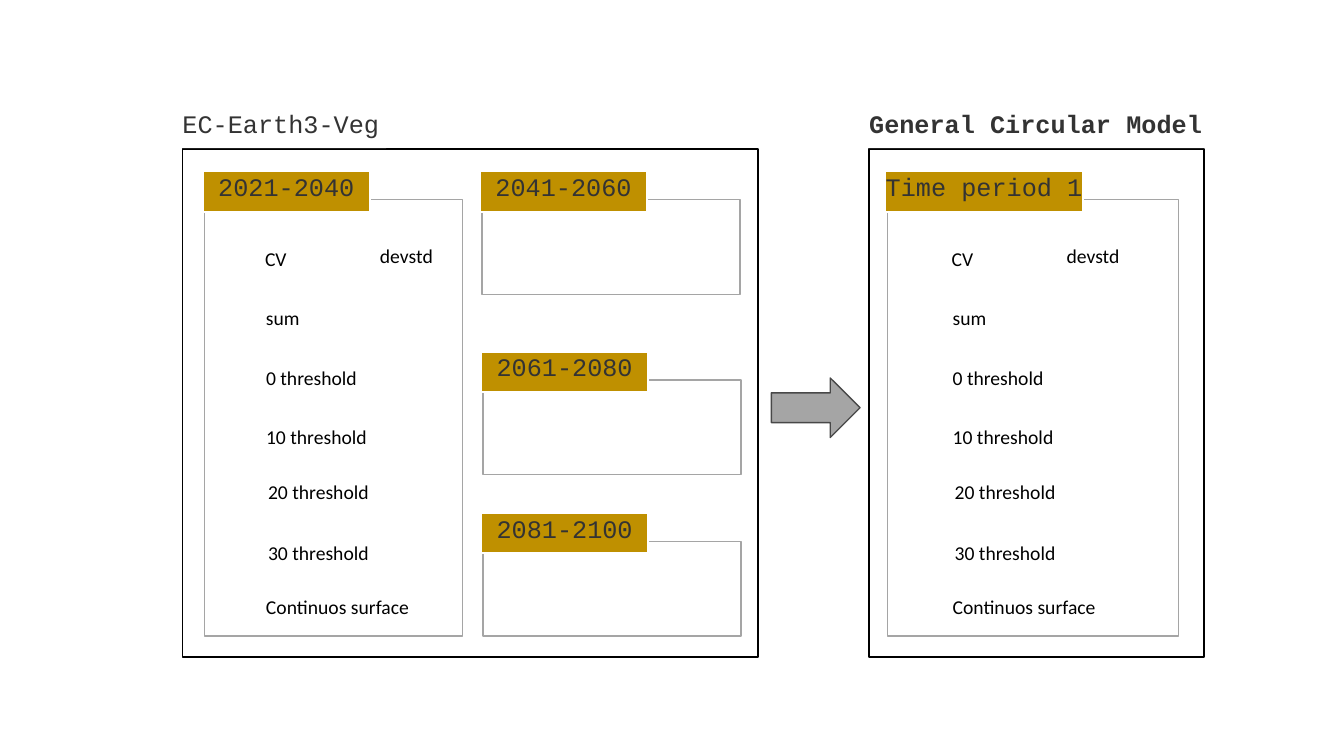
from lxml import etree
from pptx import Presentation, util as u
from pptx.dml.color import RGBColor
from pptx.enum import shapes, text

SLIDE_WIDTH, SLIDE_HEIGHT = 13.33, 7.5
PANEL_TOP, PANEL_HEIGHT = 1.48, 5.04
FRAME_WIDTH, FRAME_HEIGHT, SMALL_HEIGHT = 2.56, 4.33, 0.94
TAG_HEIGHT, TAG_RISE = 0.4, 0.28
CODE = {"size": u.Pt(18), "name": "Courier New", "bold": False}
LABEL = {"size": u.Pt(14), "name": "Calibri"}
MEASURES = [
    ("CV", 0.72, 0.92, 0.42),
    ("devstd", 1.86, 0.89, 0.73),
    ("sum", 0.73, 1.51, 0.54),
    ("0 threshold", 0.73, 2.1, 1.11),
    ("10 threshold", 0.73, 2.69, 1.21),
    ("20 threshold", 0.75, 3.23, 1.21),
    ("30 threshold", 0.75, 3.84, 1.21),
    ("Continuos surface", 0.73, 4.37, 1.64),
]


def color(value):
    return RGBColor.from_string(value)


def inches(box):
    return [u.Inches(length) for length in box]


def add_box(slide, box, fill, line=None, weight=1, kind=shapes.MSO_SHAPE.RECTANGLE):
    panel = slide.shapes.add_shape(kind, *inches(box))
    panel.shadow.inherit = False
    panel.fill.solid()
    panel.fill.fore_color.rgb = color(fill)
    if line:
        panel.line.color.rgb = color(line)
        panel.line.width = u.Pt(weight)
    else:
        panel.line.fill.background()
    return panel


def write(holder, words, font, ink, align, frame_format):
    frame = holder.text_frame
    for key, value in frame_format.items():
        setattr(frame, key, value)
    paragraph = frame.paragraphs[0]
    paragraph.alignment = align
    run = paragraph.add_run()
    run.text = words
    for key, value in font.items():
        setattr(run.font, key, value)
    run.font.color.rgb = color(ink)


def add_caption(slide, box, words, fill, align, line=None, bold=False):
    caption = add_box(slide, box, fill, line, 1.5)
    write(caption, words, {**CODE, "bold": bold}, "333333", align, {
        "margin_left": 0, "margin_top": 0, "margin_right": 0,
        "margin_bottom": u.Inches(0.1), "word_wrap": False,
        "vertical_anchor": text.MSO_ANCHOR.MIDDLE,
        "auto_size": text.MSO_AUTO_SIZE.SHAPE_TO_FIT_TEXT,
    })


def add_period(slide, box, words):
    left, top, _, _ = box
    add_box(slide, box, "FFFFFF", "A5A5A5")
    tag_width = 0.15 * max(len(words), 11) + 0.01
    tag = (left - 0.02, top - TAG_RISE, tag_width, TAG_HEIGHT)
    add_caption(slide, tag, words, "BF9000", text.PP_ALIGN.CENTER, "FFFFFF")


def add_measures(slide, left, top):
    for words, across, down, width in MEASURES:
        label = slide.shapes.add_textbox(*inches((left + across, top + down, width, 0.34)))
        write(label, words, LABEL, "000000", text.PP_ALIGN.LEFT, {
            "word_wrap": False,
            "auto_size": text.MSO_AUTO_SIZE.SHAPE_TO_FIT_TEXT,
        })


def add_model(slide, box, title, title_width, periods, bold=False):
    left, top, _, _ = box
    add_box(slide, box, "FFFFFF", "000000")
    add_caption(slide, (left, top - 0.41, title_width, TAG_HEIGHT), title,
                "FFFFFF", text.PP_ALIGN.LEFT, bold=bold)
    for words, across, down, width, height in periods:
        add_period(slide, (left + across, top + down, width, height), words)
    add_measures(slide, left, top)


def main():
    deck = Presentation()
    deck.slide_width, deck.slide_height = inches((SLIDE_WIDTH, SLIDE_HEIGHT))
    slide = deck.slides.add_slide(deck.slide_layouts[6])
    add_model(slide, (1.81, PANEL_TOP, 5.71, PANEL_HEIGHT), "EC-Earth3-Veg", 2.02, [
        ("2021-2040", 0.22, 0.5, FRAME_WIDTH, FRAME_HEIGHT),
        ("2041-2060", 2.97, 0.5, FRAME_WIDTH, SMALL_HEIGHT),
        ("2061-2080", 2.98, 2.29, FRAME_WIDTH, SMALL_HEIGHT),
        ("2081-2100", 2.98, 3.89, FRAME_WIDTH, SMALL_HEIGHT),
    ])
    add_model(slide, (8.62, PANEL_TOP, 3.32, PANEL_HEIGHT), "General Circular Model", 3.32, [
        ("Time period 1", 0.18, 0.5, 2.89, FRAME_HEIGHT),
    ], bold=True)
    add_box(slide, (7.65, 3.75, 0.88, 0.59), "A5A5A5", "484848",
            kind=shapes.MSO_SHAPE.RIGHT_ARROW)
    deck.save("out.pptx")


if __name__ == "__main__":
    main()
